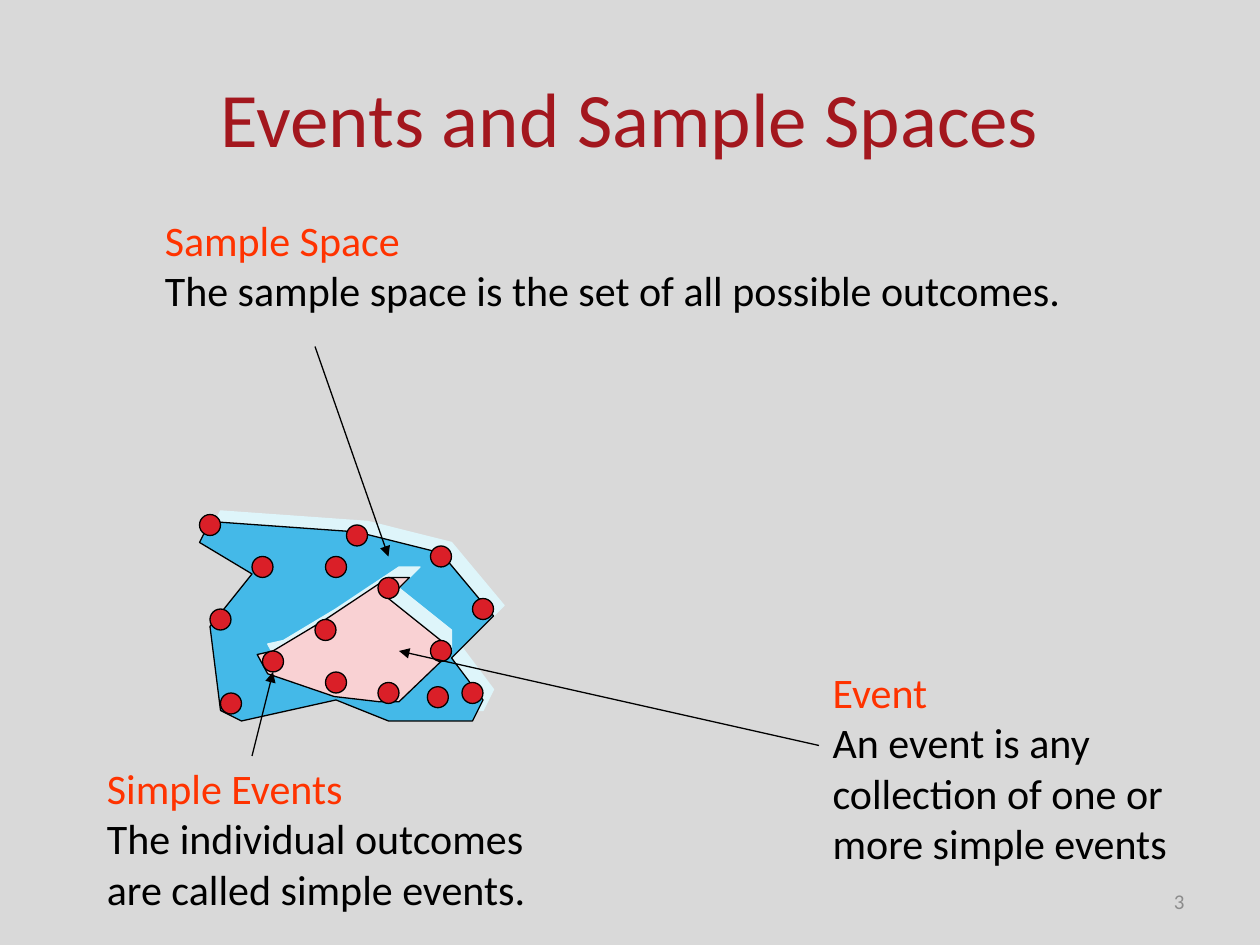
from lxml import etree
from pptx import Presentation
from pptx import util as u
from pptx.dml.color import RGBColor
from pptx.enum import shapes, text
from pptx.oxml import ns

Pt = u.Pt
TITLE = ("Events and Sample Spaces", (36, 21.6, 648, 90))
PAGE = ("3", (516.24, 500.4, 167.76, 28.8))
NOTES = [
    ("Sample Space", "The sample space is the set of all possible outcomes.",
     (87.12, 118.8, 530.64, 65.52), False),
    ("Simple Events", "The individual outcomes are called simple events.",
     (54, 432, 257.76, 94.32), True),
    ("Event", "An event is any collection of one or more simple events",
     (468.72, 377.28, 233.28, 123.84), True),
]
SAMPLE_SPACE = [(120, 298), (204, 304.5), (252, 316), (282, 352), (258, 376.5),
                (276, 400.5), (270, 412.5), (222, 412.5), (192, 400.5),
                (138, 412.5), (126, 406), (120, 358.5), (144, 328.5), (114, 310.5)]
EVENT = [(156, 372), (186, 354), (222, 330), (234, 330), (222, 342), (252, 366),
         (252, 378), (228, 401), (217, 401), (191, 398), (153, 385), (147, 373.5)]
SIMPLE_EVENTS = [(114, 294), (198, 300), (186, 318), (120, 348), (150, 372),
                 (246, 312), (270, 342), (144, 318), (126, 396), (216, 330),
                 (180, 354), (186, 384), (246, 366), (216, 390), (264, 390),
                 (244.2, 392.4)]
ARROWS = [((180, 198), (222, 318)), ((144, 432), (156, 384)), ((468, 426), (228, 372))]
DOT = 12


def color(value):
    return RGBColor.from_string(value)


def add_text(slide, paragraphs, box, size=24, align=text.PP_ALIGN.LEFT,
             anchor=text.MSO_ANCHOR.TOP, wrap=True):
    tf = slide.shapes.add_textbox(*map(Pt, box)).text_frame
    tf.word_wrap = wrap
    tf.vertical_anchor = anchor
    for i, (words, shade) in enumerate(paragraphs):
        p = tf.paragraphs[0] if i == 0 else tf.add_paragraph()
        p.alignment = align
        r = p.add_run()
        r.text = words
        r.font.name, r.font.size = "Calibri", Pt(size)
        r.font.color.rgb = color(shade)


def outline(s):
    s.line.color.rgb = color("000000")
    s.line.width = Pt(0.75)
    return etree.SubElement(s._element.spPr, ns.qn("a:effectLst"))


def fill(s, shade):
    s.fill.solid()
    s.fill.fore_color.rgb = color(shade)


def add_region(slide, points, shade):
    builder = slide.shapes.build_freeform(*points[0], scale=Pt(1))
    builder.add_line_segments(points[1:], close=True)
    s = builder.convert_to_shape()
    fill(s, shade)
    shadow = etree.SubElement(outline(s), ns.qn("a:outerShdw"), dist=str(Pt(8.5)),
                              dir="18900000", algn="ctr", rotWithShape="0")
    etree.SubElement(shadow, ns.qn("a:srgbClr"), val="DEF5FA")


def add_arrow(slide, start, end):
    s = slide.shapes.add_connector(shapes.MSO_CONNECTOR.STRAIGHT, *map(Pt, start + end))
    outline(s)
    ln = s._element.spPr.find(ns.qn("a:ln"))
    etree.SubElement(ln, ns.qn("a:tailEnd"), type="triangle")


def main():
    prs = Presentation()
    prs.slide_width, prs.slide_height = Pt(720), Pt(540)
    slide = prs.slides.add_slide(prs.slide_layouts[6])
    fill(slide.background, "D9D9D9")
    add_text(slide, [(PAGE[0], "8C8C8C")], PAGE[1], size=12,
             align=text.PP_ALIGN.RIGHT, anchor=text.MSO_ANCHOR.MIDDLE)
    add_region(slide, SAMPLE_SPACE, "44B9E8")
    add_region(slide, EVENT, "F9D1D3")
    for x, y in SIMPLE_EVENTS:
        s = slide.shapes.add_shape(shapes.MSO_SHAPE.OVAL, *map(Pt, (x, y, DOT, DOT)))
        fill(s, "DA1F28")
        outline(s)
    for term, meaning, box, wrap in NOTES:
        add_text(slide, [(term, "FF3300"), (meaning, "000000")], box, wrap=wrap)
    for start, end in ARROWS:
        add_arrow(slide, start, end)
    add_text(slide, [(TITLE[0], "A3171E")], TITLE[1], size=44,
             align=text.PP_ALIGN.CENTER, anchor=text.MSO_ANCHOR.MIDDLE)
    prs.save("out.pptx")


if __name__ == "__main__":
    main()
